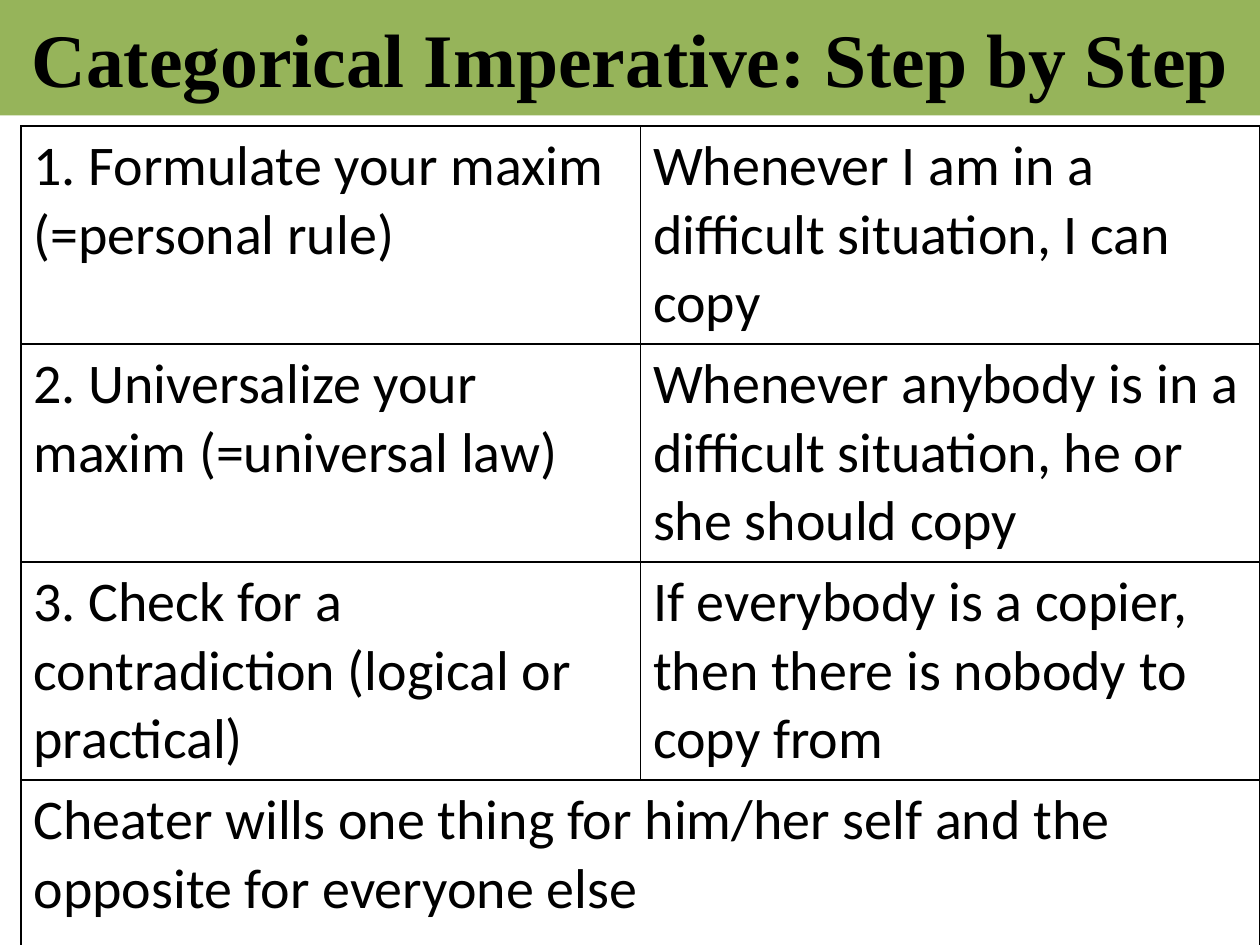
from lxml.etree import SubElement
from pptx import Presentation
from pptx.dml.color import RGBColor
from pptx.enum.text import MSO_ANCHOR, MSO_AUTO_SIZE, PP_ALIGN
from pptx.oxml.ns import qn
from pptx.util import Pt

GREEN = RGBColor(0x96, 0xB4, 0x5A)
BLACK = RGBColor(0, 0, 0)

STEPS = [
    ("1. Formulate your maxim (=personal rule)",
     "Whenever I am in a difficult situation, I can copy"),
    ("2. Universalize your maxim (=universal law)",
     "Whenever anybody is in a difficult situation, he or she should copy"),
    ("3. Check for a contradiction (logical or practical)",
     "If everybody is a copier, then there is nobody to copy from"),
]
CONCLUSION = ("Cheater wills one thing for him/her self and the opposite "
              "for everyone else")


def style_font(font, name, size, bold=False):
    font.name = name
    font.size = Pt(size)
    font.bold = bold
    font.color.rgb = BLACK


def add_title(slide, text):
    sp = slide.shapes.title
    sp.left, sp.top, sp.width, sp.height = Pt(0), Pt(0), Pt(720), Pt(66)
    sp.fill.solid()
    sp.fill.fore_color.rgb = GREEN
    tf = sp.text_frame
    tf.text = text
    tf.word_wrap = True
    tf.auto_size = MSO_AUTO_SIZE.NONE
    tf.vertical_anchor = MSO_ANCHOR.MIDDLE
    p = tf.paragraphs[0]
    p.alignment = PP_ALIGN.CENTER
    style_font(p.font, "Times New Roman", 43.2, bold=True)


def set_borders(cell):
    tcPr = cell._tc.get_or_add_tcPr()
    for side in ("a:lnL", "a:lnR", "a:lnT", "a:lnB"):
        ln = SubElement(tcPr, qn(side), w=str(Pt(1)))
        fill = SubElement(ln, qn("a:solidFill"))
        SubElement(fill, qn("a:srgbClr"), val=str(BLACK))


def add_steps_table(slide):
    rows = STEPS + [(CONCLUSION, "")]
    frame = slide.shapes.add_table(len(rows), 2, Pt(12), Pt(72), Pt(708), Pt(450))
    table = frame.table
    table.first_row = table.horz_banding = False
    for row, texts in zip(table.rows, rows):
        row.height = Pt(116.8)
        for cell, text in zip(row.cells, texts):
            cell.text = text
            style_font(cell.text_frame.paragraphs[0].font, "Calibri", 32)
            set_borders(cell)
            cell.fill.background()
    last = len(rows) - 1
    table.rows[last].height = Pt(100)
    table.cell(last, 0).merge(table.cell(last, 1))


def main():
    prs = Presentation()
    prs.slide_width, prs.slide_height = Pt(720), Pt(540)
    slide = prs.slides.add_slide(prs.slide_layouts[5])
    add_title(slide, "Categorical Imperative: Step by Step")
    add_steps_table(slide)
    prs.save("out.pptx")


if __name__ == "__main__":
    main()
